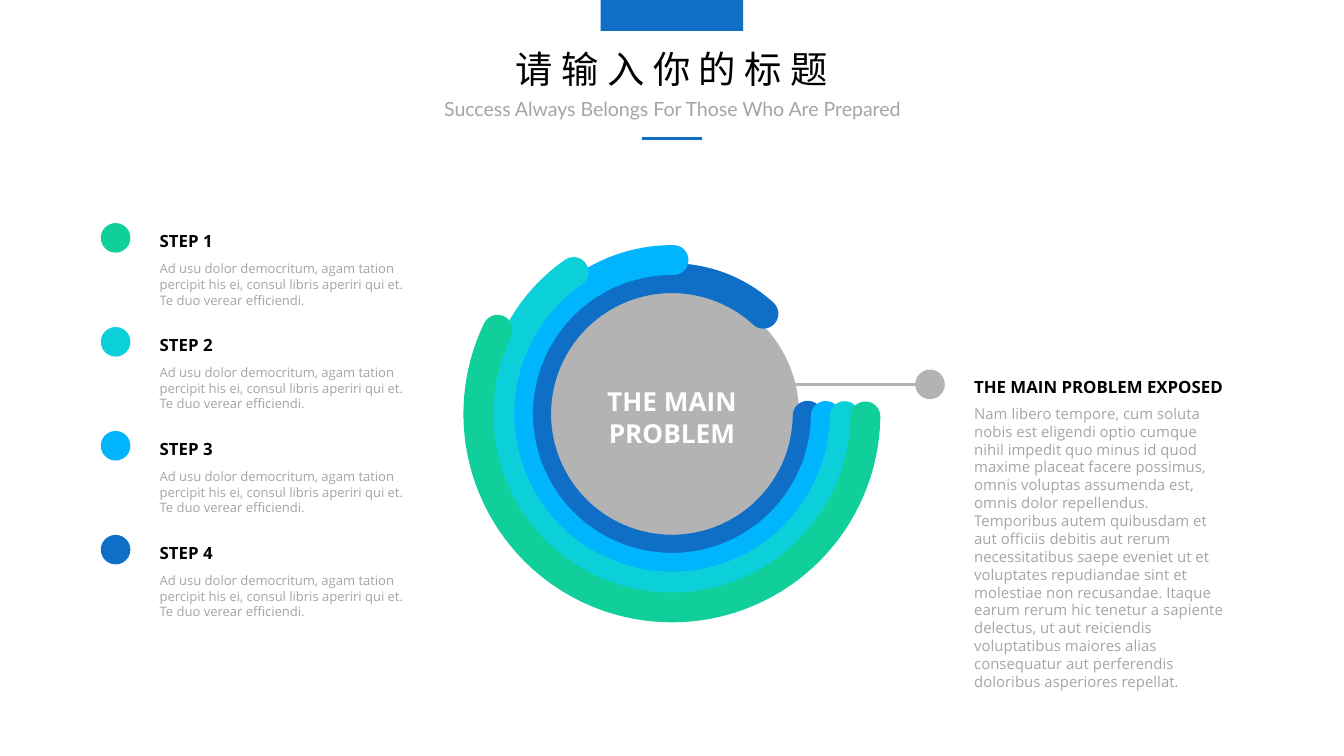
from lxml import etree
from pptx import Presentation
from pptx import util as u
from pptx.dml.color import RGBColor
from pptx.enum import shapes as kinds, text as txt
from pptx.oxml.ns import qn

COLORS = {
    "blue": "0F6FC6", "sky": "00B5FE", "cyan": "0BD0D9", "green": "10CF9B",
    "disc": "B3B3B3", "grey": "A5A5A5", "black": "000000", "white": "FFFFFF",
}
HEADING = {"size": u.Pt(9), "name": "Open Sans", "bold": True}
BODY = {"size": u.Pt(7), "name": "Open Sans"}
STEP_TEXT = ("Ad usu dolor democritum, agam tation percipit his ei, "
             "consul libris aperiri qui et. Te duo verear efficiendi.")
PROBLEM_TEXT = (
    "Nam libero tempore, cum soluta nobis est eligendi optio cumque nihil "
    "impedit quo minus id quod maxime placeat facere possimus, omnis voluptas "
    "assumenda est, omnis dolor repellendus. Temporibus autem quibusdam et aut "
    "officiis debitis aut rerum necessitatibus saepe eveniet ut et voluptates "
    "repudiandae sint et molestiae non recusandae. Itaque earum rerum hic "
    "tenetur a sapiente delectus, ut aut reiciendis voluptatibus maiores alias "
    "consequatur aut perferendis doloribus asperiores repellat.")


def rgb(color):
    return RGBColor.from_string(COLORS[color])


def inches(*lengths):
    return [u.Inches(length) for length in lengths]


def write(box, content, font, color, align=txt.PP_ALIGN.LEFT, spacing=None,
          wrap=True, anchor=txt.MSO_ANCHOR.TOP):
    frame = box.text_frame
    frame.text = content
    settings = {
        "word_wrap": wrap, "auto_size": txt.MSO_AUTO_SIZE.SHAPE_TO_FIT_TEXT,
        "vertical_anchor": anchor,
        "margin_left": u.Inches(0.1), "margin_right": u.Inches(0.1),
        "margin_top": u.Inches(0.05), "margin_bottom": u.Inches(0.05),
    }
    for key, value in settings.items():
        setattr(frame, key, value)
    paragraph = frame.paragraphs[0]
    paragraph.alignment = align
    if spacing:
        paragraph.line_spacing = spacing
    run = paragraph.runs[0]
    for key, value in font.items():
        setattr(run.font, key, value)
    run.font.color.rgb = rgb(color)
    return run


def add_text(slide, box, *args, **kwargs):
    return write(slide.shapes.add_textbox(*inches(*box)), *args, **kwargs)


def add_solid(slide, kind, box, color):
    solid = slide.shapes.add_shape(kind, *inches(*box))
    solid.shadow.inherit = False
    solid.fill.solid()
    solid.fill.fore_color.rgb = rgb(color)
    solid.line.fill.background()


def add_rule(slide, x1, x2, y, color, width):
    rule = slide.shapes.add_connector(
        kinds.MSO_CONNECTOR.STRAIGHT, *inches(x1, y, x2, y))
    rule.line.color.rgb = rgb(color)
    rule.line.width = u.Pt(width)
    etree.SubElement(rule._element.spPr, qn("a:effectLst"))


def add_header(slide, left, top, width):
    middle = left + width / 2
    centre = txt.PP_ALIGN.CENTER
    title = slide.shapes.title
    title.left, title.top, title.width, title.height = inches(
        middle - 1.3, top + 0.36, 2.6, 0.38)
    run = write(title, "请输入你的标题",
                {"size": u.Pt(20), "name": "Arial", "bold": False}, "black",
                centre, 0.8, wrap=False)
    run.font._element.set("spc", "450")
    add_text(slide, (middle - 2.11, top + 0.71, 4.23, 0.24),
             "Success Always Belongs For Those Who Are Prepared",
             {"size": u.Pt(10.5), "name": "Lato"}, "grey", centre, 0.8)
    add_rule(slide, middle - 0.22, middle + 0.22, top + 1.03, "blue", 2)
    add_solid(slide, kinds.MSO_SHAPE.RECTANGLE,
              (middle - 0.53, top, 1.06, 0.23), "blue")


def add_ring(slide, x, y, diameter, start, color):
    """Open ring with round ends; start is an angle in degrees."""
    ring = slide.shapes.add_shape(kinds.MSO_SHAPE.ARC, *inches(
        x - diameter / 2, y - diameter / 2, diameter, diameter))
    ring.shadow.inherit = False
    # Adjustments count 100000ths, angles 60000ths of a degree
    ring.adjustments[0] = start * 0.6
    ring.adjustments[1] = 199.25 * 0.6
    ring.rotation = 20
    ring._element.spPr.find(qn("a:xfrm")).set("flipH", "1")
    ring.fill.background()
    ring.line.color.rgb = rgb(color)
    ring.line.width = u.Pt(16)
    ring.line._get_or_add_ln().set("cap", "rnd")


def add_rings(slide, left, top, size):
    x, y = left + size / 2, top + size / 2
    add_solid(slide, kinds.MSO_SHAPE.OVAL, (x - 0.945, y - 0.945, 1.89, 1.89),
              "disc")
    for diameter, start, color in (
            (2.02, 247.6, "blue"), (2.29, 289.4, "sky"),
            (2.57, 324.76, "cyan"), (size, 354.23, "green")):
        add_ring(slide, x, y, diameter, start, color)
    add_text(slide, (x - 0.62, y - 0.26, 1.24, 0.57), "THE MAIN PROBLEM",
             HEADING | {"size": u.Pt(14)}, "white", txt.PP_ALIGN.CENTER)


def add_entry(slide, left, top, height, color, heading, body, font,
              heading_drop, body_drop):
    """Dot with a heading and a body text to its right."""
    add_solid(slide, kinds.MSO_SHAPE.OVAL, (left, top, 0.22, 0.22), color)
    add_text(slide, (left + 0.34, top + heading_drop, 2.07, 0.25), heading,
             HEADING, "black")
    add_text(slide, (left + 0.34, top + body_drop, 2.1, height), body, font,
             "grey")


def add_steps(slide, left, top, bottom):
    colors = ("green", "cyan", "sky", "blue")
    pitch = (bottom - top) / (len(colors) - 1)
    for i, color in enumerate(colors):
        add_entry(slide, left, top + i * pitch, 0.45, color, f"STEP {i + 1}",
                  STEP_TEXT, BODY, 0.01, 0.23)


def add_problem(slide, left, top):
    add_entry(slide, left, top, 2.26, "disc", "THE MAIN PROBLEM EXPOSED",
              PROBLEM_TEXT, BODY | {"size": u.Pt(8)}, 0, 0.21)
    add_rule(slide, left + 0.04, left - 1.27, top + 0.11, "disc", 1.5)


def main():
    deck = Presentation()
    # Widescreen, 16:9
    deck.slide_width = u.Inches(10)
    deck.slide_height = u.Inches(10 * 9 / 16)
    slide = deck.slides.add_slide(deck.slide_layouts[5])
    add_rings(slide, 3.56, 1.64, 2.88)
    add_steps(slide, 0.75, 1.66, 3.98)
    add_problem(slide, 6.81, 2.75)
    add_header(slide, 0, 0, 10)
    deck.save("out.pptx")


if __name__ == "__main__":
    main()
